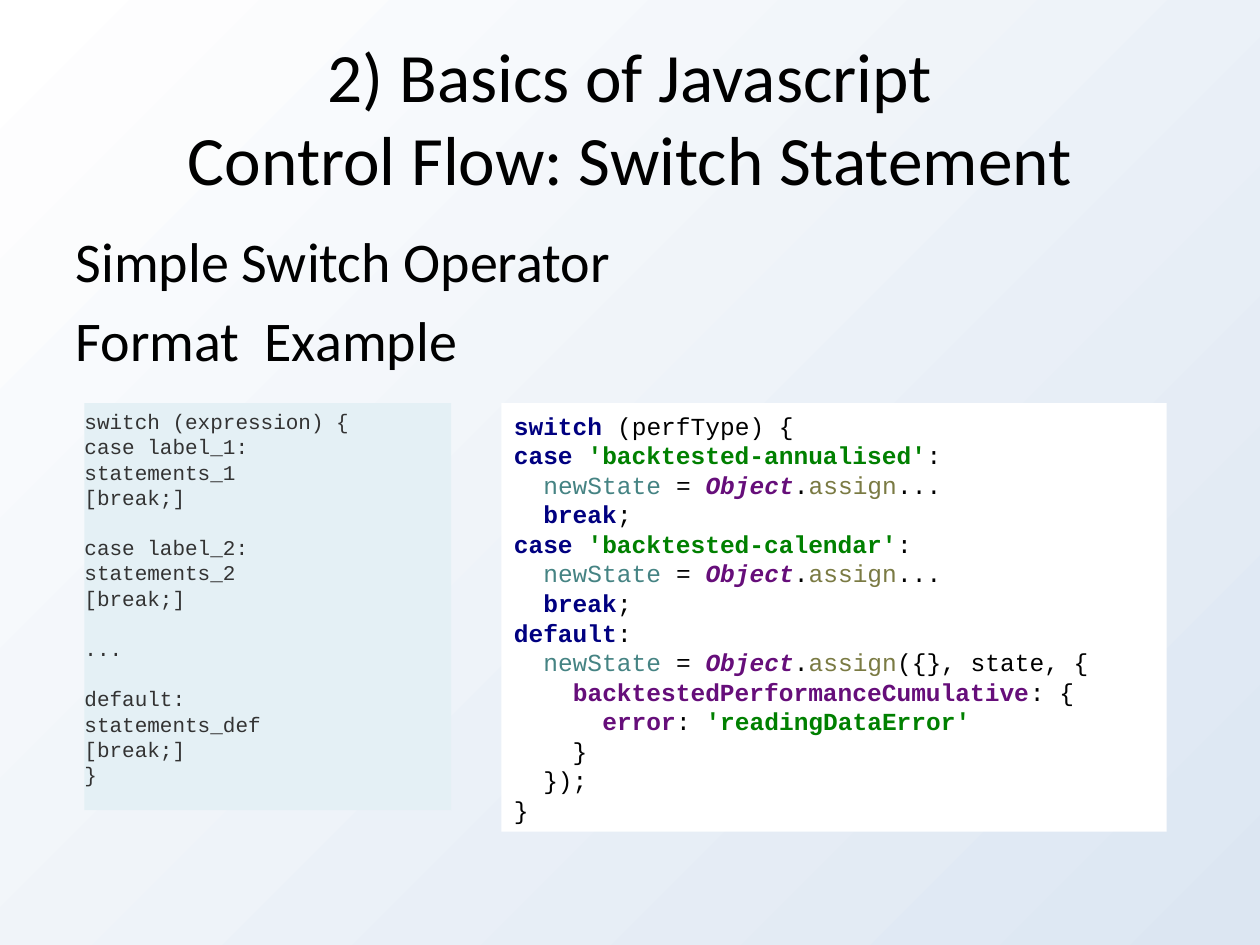
from dataclasses import dataclass

from lxml.etree import SubElement
from pptx import Presentation
from pptx.dml.color import RGBColor
from pptx.enum.shapes import MSO_SHAPE
from pptx.enum.text import MSO_ANCHOR, PP_ALIGN
from pptx.oxml import parse_xml
from pptx.oxml.ns import nsdecls, qn
from pptx.util import Pt

COLORS = {
    "black": "000000",
    "gray": "333333",
    "navy": "000080",
    "green": "008000",
    "teal": "458383",
    "purple": "660E7A",
    "olive": "7A7A43",
    "white": "FFFFFF",
    "pale": "E4F0F5",
    "mist": "DCE6F2",
}


@dataclass(frozen=True)
class Style:
    color: str
    bold: bool = False
    italic: bool = False


@dataclass(frozen=True)
class Panel:
    left: float
    top: float
    width: float
    height: float
    fill: str
    size: float
    line_height: float
    insets: tuple[float, float, float, float]


Line = list[tuple[str, Style]]

LABEL = Style("gray")
PLAIN = Style("black")
KEYWORD = Style("navy", bold=True)
STRING = Style("green", bold=True)
VARIABLE = Style("teal")
GLOBAL = Style("purple", bold=True, italic=True)
PROPERTY = Style("purple", bold=True)
METHOD = Style("olive")

FORMAT_PANEL = Panel(48.24, 230.4, 209.52, 232.56, "pale", 12, 14.4, (0, 0, 0, 10.08))
EXAMPLE_PANEL = Panel(286.56, 230.4, 380.16, 244.8, "white", 14, 16.9, (7.2, 3.6, 7.2, 3.6))

FORMAT_CODE = """switch (expression) {
case label_1:
statements_1
[break;]

case label_2:
statements_2
[break;]

...

default:
statements_def
[break;]
}"""


def assignment(ending: str) -> Line:
    return [("  ", PLAIN), ("newState ", VARIABLE), ("= ", PLAIN),
            ("Object", GLOBAL), (".", PLAIN), ("assign", METHOD), (ending, PLAIN)]


def case(label: str) -> list[Line]:
    return [
        [("case ", KEYWORD), (f"'{label}'", STRING), (":", PLAIN)],
        assignment("..."),
        [("  ", PLAIN), ("break", KEYWORD), (";", PLAIN)],
    ]


EXAMPLE_CODE: list[Line] = [
    [("switch ", KEYWORD), ("(perfType) {", PLAIN)],
    *case("backtested-annualised"),
    *case("backtested-calendar"),
    [("default", KEYWORD), (":", PLAIN)],
    assignment("({}, state, {"),
    [("    ", PLAIN), ("backtestedPerformanceCumulative", PROPERTY), (": {", PLAIN)],
    [("      ", PLAIN), ("error", PROPERTY), (": ", PLAIN), ("'readingDataError'", STRING)],
    [("    }", PLAIN)],
    [("  });", PLAIN)],
    [("}", PLAIN)],
]


def format_font(font, name: str, size: float, style: Style) -> None:
    font.name = name
    font.size = Pt(size)
    font.bold = style.bold
    font.italic = style.italic
    font.color.rgb = RGBColor.from_string(COLORS[style.color])


def place(shape, left: float, top: float, width: float, height: float) -> None:
    shape.left, shape.top = Pt(left), Pt(top)
    shape.width, shape.height = Pt(width), Pt(height)


def paint_background(page) -> None:
    page.background.fill.gradient()
    default = page.element.find(".//" + qn("a:gradFill"))
    default.getparent().replace(default, parse_xml(
        f'<a:gradFill {nsdecls("a")} rotWithShape="1"><a:gsLst>'
        '<a:gs pos="0"><a:srgbClr val="9AB5E4"/></a:gs>'
        f'<a:gs pos="0"><a:srgbClr val="{COLORS["mist"]}"/></a:gs>'
        f'<a:gs pos="100000"><a:srgbClr val="{COLORS["white"]}"/></a:gs>'
        '</a:gsLst><a:path path="circle">'
        '<a:fillToRect l="100000" t="100000"/></a:path></a:gradFill>'))


def fill_title(title) -> None:
    place(title, 36, 21.6, 648, 90)
    title.text_frame.vertical_anchor = MSO_ANCHOR.MIDDLE
    paragraph = title.text_frame.paragraphs[0]
    paragraph.text = "2) Basics of Javascript\nControl Flow: Switch Statement"
    paragraph.alignment = PP_ALIGN.CENTER
    for span in paragraph.runs:
        format_font(span.font, "Calibri", 39.6, PLAIN)


def fill_body(body) -> None:
    place(body, 36, 126, 648, 398.88)
    body.text_frame.text = "Simple Switch Operator\nFormat\tExample"
    for paragraph in body.text_frame.paragraphs:
        properties = paragraph._p.get_or_add_pPr()
        properties.set("marL", "0")
        properties.set("indent", "0")
        SubElement(properties, qn("a:buNone"))
        tabs = SubElement(properties, qn("a:tabLst"))
        SubElement(tabs, qn("a:tab"), pos=str(Pt(288)), algn="l")
        for span in paragraph.runs:
            format_font(span.font, "Calibri", 32, PLAIN)


def add_panel(page, panel: Panel):
    box = page.shapes.add_shape(MSO_SHAPE.RECTANGLE, Pt(panel.left), Pt(panel.top),
                                Pt(panel.width), Pt(panel.height))
    box.shadow.inherit = False
    box.fill.solid()
    box.fill.fore_color.rgb = RGBColor.from_string(COLORS[panel.fill])
    box.line.fill.background()
    frame = box.text_frame
    frame.word_wrap = True
    frame.vertical_anchor = MSO_ANCHOR.MIDDLE
    (frame.margin_left, frame.margin_top,
     frame.margin_right, frame.margin_bottom) = map(Pt, panel.insets)
    return frame


def add_format(page, panel: Panel) -> None:
    frame = add_panel(page, panel)
    frame.text = FORMAT_CODE
    for paragraph in frame.paragraphs:
        paragraph.alignment = PP_ALIGN.LEFT
        paragraph.line_spacing = Pt(panel.line_height)
        format_font(paragraph.font, "Courier New", panel.size, LABEL)
        for span in paragraph.runs:
            format_font(span.font, "Courier New", panel.size, LABEL)


def add_example(page, panel: Panel) -> None:
    paragraph = add_panel(page, panel).paragraphs[0]
    paragraph.alignment = PP_ALIGN.LEFT
    paragraph.line_spacing = Pt(panel.line_height)
    for index, line in enumerate(EXAMPLE_CODE):
        if index:
            paragraph.add_line_break()
        for text, style in line:
            span = paragraph.add_run()
            span.text = text
            format_font(span.font, "Courier New", panel.size, style)


def main() -> None:
    deck = Presentation()
    deck.slide_width, deck.slide_height = Pt(720), Pt(540)
    page = deck.slides.add_slide(deck.slide_layouts[1])
    paint_background(page)
    fill_title(page.shapes.title)
    fill_body(page.placeholders[1])
    add_format(page, FORMAT_PANEL)
    add_example(page, EXAMPLE_PANEL)
    deck.save("out.pptx")


if __name__ == "__main__":
    main()
